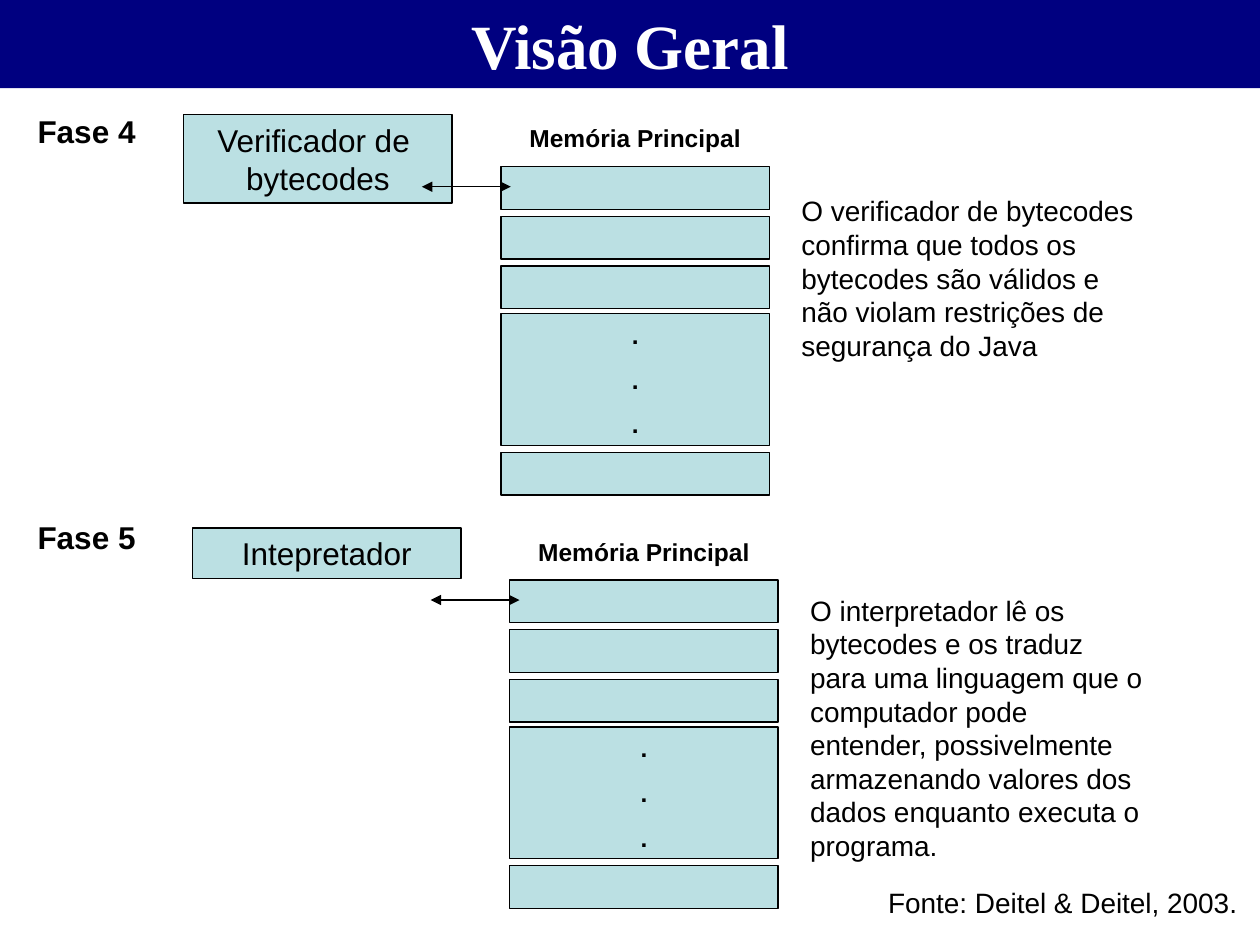
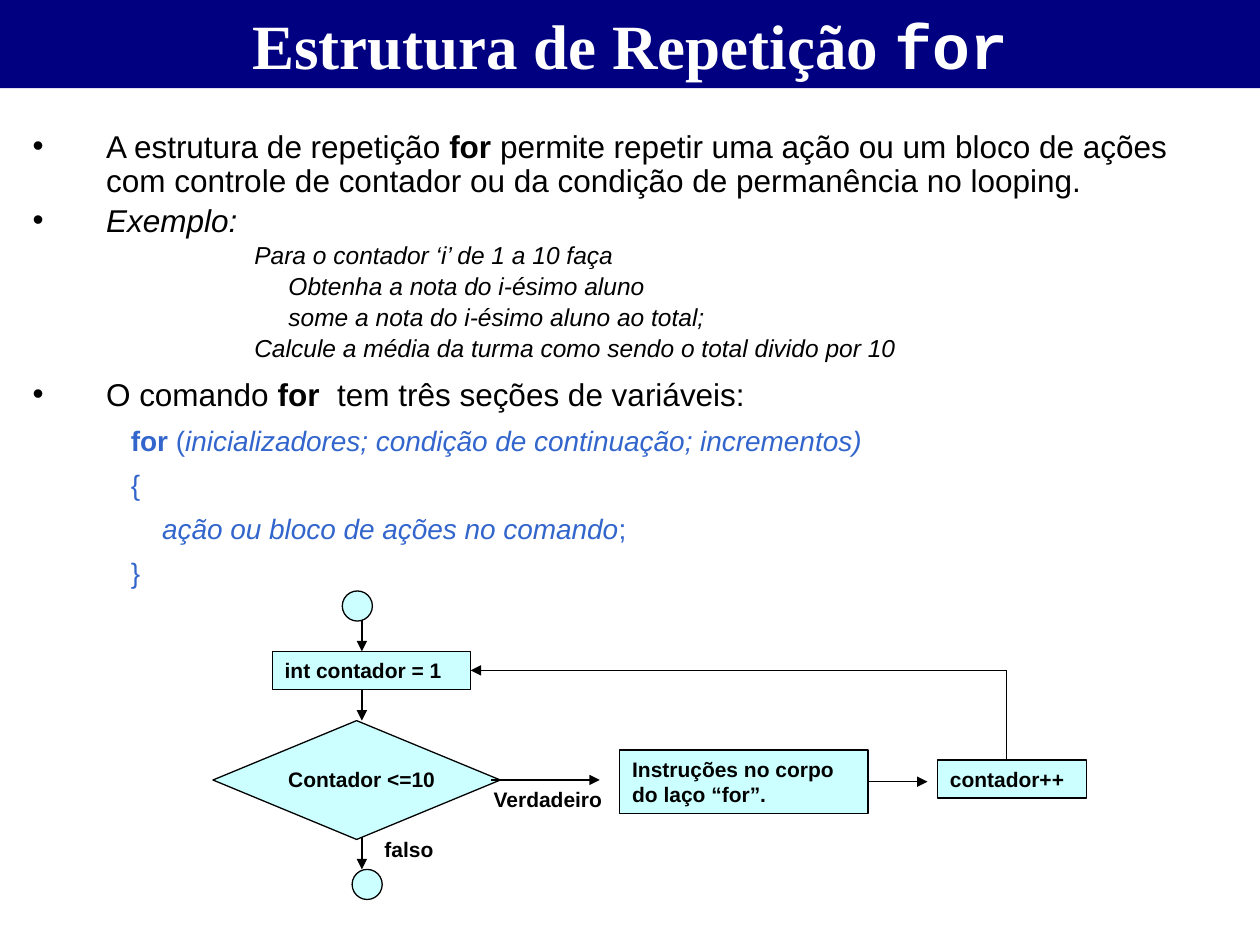
"""Builds two slides: the Java execution phases and the for loop."""
from lxml.etree import SubElement
from pptx import Presentation
from pptx.dml.color import RGBColor
from pptx.enum.shapes import MSO_CONNECTOR as Line, MSO_SHAPE as Shape
from pptx.enum.text import MSO_ANCHOR as Anchor, PP_ALIGN as Align
from pptx.oxml.ns import qn
from pptx.util import Pt

rgb = RGBColor.from_string
NAVY, WHITE, BLACK = "000080", "FFFFFF", "000000"
TEAL, CYAN, BLUE = "BBE0E3", "CCFFFF", "3366CC"
BOLD, ITALIC = {"bold": True}, {"italic": True}


def add_box(page, area, paras=(), fill=None, outline=BLACK, kind=Shape.RECTANGLE,
            color=BLACK, layout=None, **base):
    """Add a filled shape, or a text box when there is no fill, and write its paragraphs."""
    area = [Pt(value) for value in area]
    if fill:
        box = page.shapes.add_shape(kind, *area)
        box.shadow.inherit = False
        box.fill.solid()
        box.fill.fore_color.rgb = rgb(fill)
        if outline:
            box.line.color.rgb = rgb(outline)
            box.line.width = Pt(0.75)
        else:
            box.line.fill.background()
    else:
        box = page.shapes.add_textbox(*area)
    frame = box.text_frame
    frame.word_wrap = True
    frame.vertical_anchor = Anchor.TOP
    for index, runs in enumerate(paras):
        para = frame.add_paragraph() if index else frame.paragraphs[0]
        for name, value in ({"alignment": Align.LEFT} | (layout or {})).items():
            if index or name != "space_before":
                setattr(para, name, value)
        for text, changes in runs:
            for number, piece in enumerate(text.split("\n")):
                if number:
                    para.add_line_break()
                span = para.add_run()
                span.text = piece
                values = {"name": "Arial"} | base | changes
                span.font.color.rgb = rgb(values.pop("color", color))
                for name, value in values.items():
                    setattr(span.font, name, value)
    return box


def add_line(page, start, end, ends=("tailEnd",)):
    """Add a thin black line with triangles at the given ends."""
    line = page.shapes.add_connector(Line.STRAIGHT, *[Pt(value) for value in start + end])
    line.line.color.rgb = rgb(BLACK)
    line.line.width = Pt(0.75)
    for name in ends:
        SubElement(line.line._get_or_add_ln(), qn("a:" + name), type="triangle")
    SubElement(line._element.spPr, qn("a:effectLst"))
    return line


deck = Presentation()
deck.slide_width, deck.slide_height = Pt(720), Pt(540)
titles = [
    [("Visão Geral", {})],
    [("Estrutura de Repetição ", {}), ("for", {"name": "Courier New"})],
]
pages = []
for title in titles:
    page = deck.slides.add_slide(deck.slide_layouts[6])
    add_box(page, (0, 0, 720, 50.4), [title], NAVY, None, color=WHITE,
            layout={"alignment": Align.CENTER}, name="Times New Roman", size=Pt(36), bold=True)
    pages.append(page)
overview, loop = pages

centred = {"alignment": Align.CENTER, "space_before": Pt(8.8)}
phases = [
    ("Fase 4", 60.5, "Verificador de \nbytecodes", 50.4, 0, 0, 107.3,
     "O verificador de bytecodes confirma que todos os bytecodes são válidos e não violam "
     "restrições de segurança do Java"),
    ("Fase 5", 292.3, "Intepretador", 28.8, 5, 236.2, 335.5,
     "O interpretador lê os bytecodes e os traduz para uma linguagem que o computador pode "
     "entender, possivelmente armazenando valores dos dados enquanto executa o programa."),
]
for phase, phase_top, tool, tool_height, dx, dy, note_top, note in phases:
    add_box(overview, (14.4, phase_top, 79.2, 28.8), [[(phase, BOLD)]], size=Pt(18))
    add_box(overview, (105 + dx, 65.6 + dy, 153.4, tool_height), [[(tool, {})]], TEAL,
            layout=centred, size=Pt(18))
    add_box(overview, (450.9 + dx, note_top, 204.5, 104), [[(note, {})]], size=Pt(16))
    add_box(overview, (286.3 + dx, 67 + dy, 153.4, 24.5), [[("Memória Principal", BOLD)]],
            layout=centred, size=Pt(14))
    for cell_top in (95.2, 123.6, 152, 258.4):
        add_box(overview, (286.3 + dx, cell_top + dy, 153.4, 24.5), fill=TEAL)
    add_box(overview, (286.3 + dx, 179.2 + dy, 153.4, 75.4), [[(".", BOLD)]] * 3, TEAL,
            layout=centred, size=Pt(14))
    add_line(overview, (241.1 + dx, 106.7 + dy), (291.9 + dx, 106.7 + dy),
             ("headEnd", "tailEnd"))
add_box(overview, (354.2, 502.6, 360, 26.6), [[("Fonte: Deitel & Deitel, 2003.", {})]],
        layout={"alignment": Align.RIGHT}, size=Pt(16))

topic = {"size": Pt(18)}
example = {"size": Pt(14), "italic": True}
code = {"size": Pt(16), "color": BLUE}
body = [
    (42, True, 3.4, topic, [
        ("A estrutura de repetição ", {}), ("for ", BOLD),
        ("permite repetir uma ação ou um bloco de ações com controle de contador ou da "
         "condição de permanência no looping.", {})]),
    (42, True, 3.4, topic, [("Exemplo:", ITALIC)]),
    (126.7, False, 2.6, example, [("Para o contador ‘i’ de 1 a 10 faça", {})]),
    (146.2, False, 2.6, example, [("Obtenha a nota do i-ésimo aluno", {})]),
    (146.2, False, 2.6, example, [("some a nota do i-ésimo aluno ao total;", {})]),
    (126.7, False, 2.6, example,
     [("Calcule a média da turma como sendo o total divido por 10", {})]),
    (42, True, 9, topic, [("O comando ", {}), ("for", BOLD),
                          ("  tem três seções de variáveis:", {})]),
    (56.2, False, 8, code, [("for", BOLD), (" (", {}),
                            ("inicializadores; condição de continuação; incrementos)", ITALIC)]),
    (56.2, False, 8, code, [("{", {})]),
    (74, False, 8, code, [("ação ou bloco de ações no comando", ITALIC), (";", {})]),
    (56.2, False, 8, code, [("}", {})]),
]
paras = [[(text, style | changes) for text, changes in runs] for *_, style, runs in body]
body_box = add_box(loop, (11.5, 71.3, 682.6, 277.9), paras, layout={"line_spacing": 0.9})
for index, (left, bullet, before, *_) in enumerate(body):
    para = body_box.text_frame.paragraphs[index]
    if index:
        para.space_before = Pt(before)
    properties = para._p.get_or_add_pPr()
    properties.set("marL", str(Pt(left)))
    properties.set("indent", str(-Pt(left) if bullet else 0))
    if bullet:
        SubElement(properties, qn("a:buFont"), typeface="Arial")
        SubElement(properties, qn("a:buChar"), char="•")

for top, bottom in ((343.4, 372.2), (394, 411.8), (468.7, 496.8)):
    add_line(loop, (206.8, top), (206.8, bottom))
for left, top in ((195.6, 337.7), (201.2, 496.8)):
    add_box(loop, (left, top, 17.2, 17.2), fill=CYAN, kind=Shape.FLOWCHART_CONNECTOR)
add_box(loop, (121.7, 411.8, 164.2, 67.9), fill=CYAN, kind=Shape.FLOWCHART_DECISION)

steps = {}
for text, area, fill in [
    ("int contador = 1", (155.6, 372.2, 113.4, 21.8), CYAN),
    ("Contador <=10", (157.6, 434.4, 100.4, 21.8), None),
    ("Verdadeiro", (275, 445.9, 85, 21.8), None),
    ("falso", (212.6, 474.4, 45.6, 21.8), None),
    ("Instruções no corpo\ndo laço “for”.", (354.2, 428.6, 141.8, 36.2), CYAN),
    ("contador++", (535.7, 434.3, 85, 21.8), CYAN),
]:
    steps[text.split("\n")[0]] = add_box(loop, area, [[(text, BOLD)]], fill, size=Pt(12))

add_line(loop, (280.8, 445.7), (342.7, 445.7))
next_line = add_line(loop, (496, 446.7), (530, 446.7))
next_line.begin_connect(steps["Instruções no corpo"], 3)
return_line = add_line(loop, (269, 383.1), (575.3, 383.1), ("headEnd",))
return_line.begin_connect(steps["int contador = 1"], 3)
add_line(loop, (575.3, 383.1), (575.3, 434.3), ())

deck.save("out.pptx")
